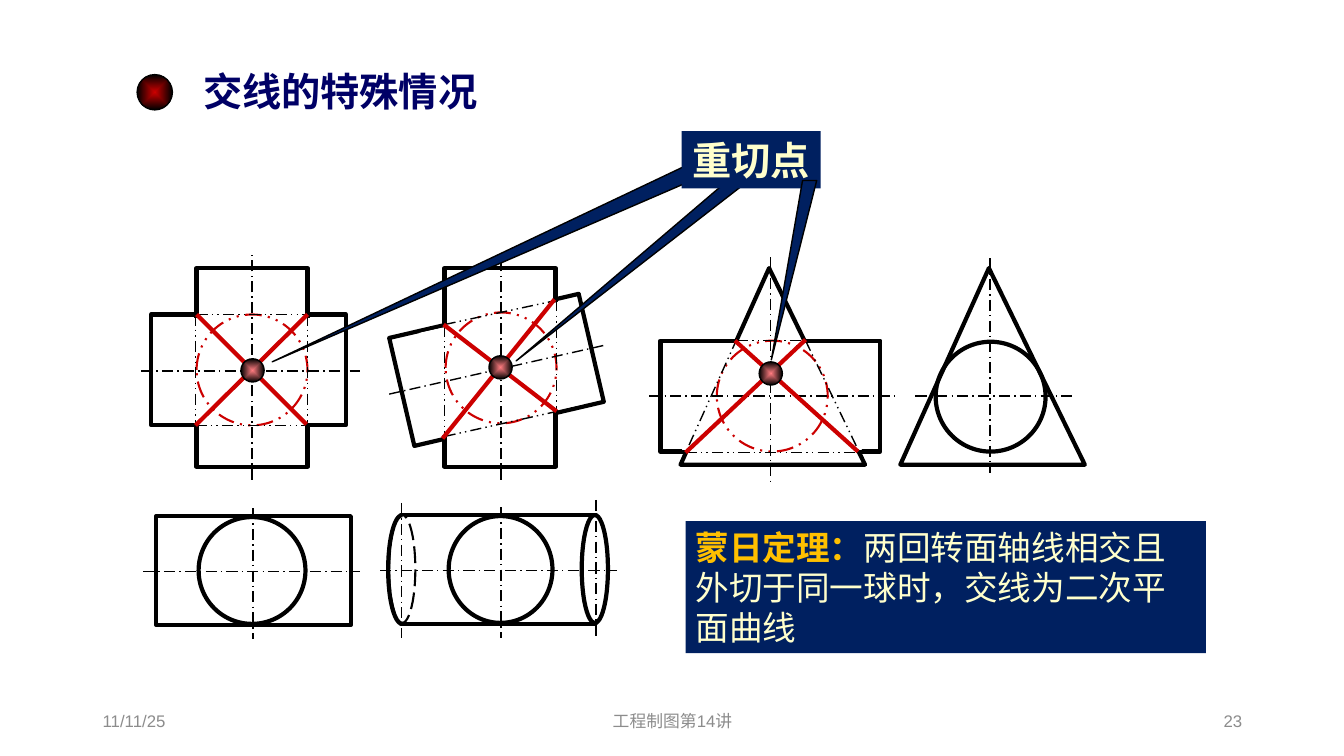
from math import cos, pi, sin

from lxml import etree
from pptx import Presentation
from pptx.dml.color import RGBColor
from pptx.enum.dml import MSO_LINE
from pptx.enum.shapes import MSO_CONNECTOR, MSO_SHAPE
from pptx.enum.text import MSO_ANCHOR, MSO_AUTO_SIZE, PP_ALIGN
from pptx.oxml.ns import qn
from pptx.util import Inches, Pt

BLACK = RGBColor(0x00, 0x00, 0x00)
WHITE = RGBColor(0xFF, 0xFF, 0xFF)
RED = RGBColor(0xCC, 0x00, 0x00)
PINK = RGBColor(0xFF, 0x7C, 0x80)
NAVY = RGBColor(0x00, 0x20, 0x60)
TITLE_BLUE = RGBColor(0x00, 0x00, 0x66)
CREAM = RGBColor(0xFF, 0xFF, 0xCC)
GOLD = RGBColor(0xFF, 0xC0, 0x00)
GREY = RGBColor(0x8C, 0x8C, 0x8C)
CJK_FONT = "Noto Sans CJK SC"
RECT, OVAL, TRIANGLE = MSO_SHAPE.RECTANGLE, MSO_SHAPE.OVAL, MSO_SHAPE.ISOSCELES_TRIANGLE
STRAIGHT = MSO_CONNECTOR.STRAIGHT
AXIS, PHANTOM, HIDDEN = MSO_LINE.LONG_DASH_DOT, MSO_LINE.DASH_DOT_DOT, MSO_LINE.LONG_DASH
LEFT, CENTER, RIGHT = PP_ALIGN.LEFT, PP_ALIGN.CENTER, PP_ALIGN.RIGHT
MIDDLE = MSO_ANCHOR.MIDDLE
NO_AUTOFIT = MSO_AUTO_SIZE.NONE

prs = Presentation()
prs.slide_width, prs.slide_height = Inches(13.33), Inches(7.5)
slide = prs.slides.add_slide(prs.slide_layouts[5])
shapes = slide.shapes


def paint(shape, fill, color, width, dash=None):
    shape.shadow.inherit = False
    if fill is None:
        shape.fill.background()
    else:
        shape.fill.solid()
        shape.fill.fore_color.rgb = fill
    if color is None:
        shape.line.fill.background()
    else:
        shape.line.color.rgb = color
        shape.line.width = Pt(width)
        shape.line.dash_style = dash


def add_outline(points, fill, width, close):
    start, *rest = [(Inches(x), Inches(y)) for x, y in points]
    builder = shapes.build_freeform(*start, scale=1.0)
    builder.add_line_segments(rest, close=close)
    paint(builder.convert_to_shape(), fill, BLACK, width)


title = shapes.title
title.left, title.top, title.width, title.height = map(Inches, (1.9, 0.62, 2.95, 0.57))
title.text_frame.text = "交线的特殊情况"

for left, width, text, align in [
    (0.92, 3, "11/11/25", LEFT),
    (4.42, 4.5, "工程制图第14讲", CENTER),
    (9.42, 3, "23", RIGHT),
]:
    footer = shapes.add_textbox(Inches(left), Inches(6.95), Inches(width), Inches(0.4))
    footer.text_frame.word_wrap = True
    footer.text_frame.vertical_anchor = MIDDLE
    footer.text_frame.text = text
    paragraph = footer.text_frame.paragraphs[0]
    paragraph.alignment = align
    paragraph.runs[0].font.name = "Arial"
    paragraph.runs[0].font.size = Pt(12)
    paragraph.runs[0].font.color.rgb = GREY

solids = [
    (RECT, (3.96, 3.12, 1.93, 1.1), -13.1, None, BLACK, 3, None),
    (RECT, (4.41, 2.66, 1.1, 1.97), 0, WHITE, BLACK, 3, None),
    (RECT, (4.26, 3.14, 1.43, 1.03), -12.6, WHITE, WHITE, 1, None),
    (OVAL, (4.45, 5.12, 1.03, 1.06), 0, None, BLACK, 3, None),
    (RECT, (3.98, 5.11, 1.93, 1.08), 0, None, BLACK, 3, None),
    (OVAL, (3.86, 5.11, 0.26, 1.07), 0, WHITE, BLACK, 1.5, HIDDEN),
    (OVAL, (5.77, 5.11, 0.26, 1.07), 0, WHITE, BLACK, 3, None),
    (RECT, (1.5, 3.12, 1.93, 1.1), 0, None, BLACK, 3, None),
    (RECT, (1.95, 2.66, 1.1, 1.97), 0, WHITE, BLACK, 3, None),
    (RECT, (1.88, 3.16, 1.28, 1.03), 0, WHITE, WHITE, 1, None),
    (OVAL, (1.97, 5.13, 1.06, 1.06), 0, None, BLACK, 3, None),
    (RECT, (1.55, 5.12, 1.93, 1.08), 0, None, BLACK, 3, None),
    (RECT, (6.55, 3.38, 2.18, 1.1), 0, WHITE, BLACK, 3, None),
    (TRIANGLE, (6.75, 2.66, 1.83, 1.95), 0, WHITE, BLACK, 3, None),
    (RECT, (6.77, 3.41, 1.77, 1.05), 0, WHITE, WHITE, 1, None),
    (TRIANGLE, (8.93, 2.66, 1.83, 1.95), 0, WHITE, BLACK, 3, None),
    (OVAL, (9.28, 3.39, 1.09, 1.09), 0, None, BLACK, 3, None),
]
for left, top in [(1.95, 3.12), (4.42, 3.1), (7.11, 3.38)]:
    solids.append((OVAL, (left, top, 1.1, 1.1), 0, None, RED, 1.5, PHANTOM))
for preset, box, rotation, fill, color, width, dash in solids:
    solid = shapes.add_shape(preset, *map(Inches, box))
    solid.rotation = rotation
    if preset == TRIANGLE:
        solid.adjustments[0] = 0.48
    paint(solid, fill, color, width, dash)

axes = [
    (4.97, 4.76, 4.97, 2.52), (3.86, 3.91, 6.02, 3.42), (4.97, 5.03, 4.97, 6.33),
    (3.98, 4.99, 3.98, 6.33), (5.91, 4.96, 5.91, 6.34), (3.77, 5.66, 6.12, 5.66),
    (2.5, 4.76, 2.5, 2.52), (1.4, 3.68, 3.57, 3.68), (1.42, 5.67, 3.57, 5.67),
    (2.51, 5.04, 2.51, 6.34), (6.44, 3.93, 8.91, 3.93), (7.64, 2.55, 7.64, 4.78),
    (9.08, 3.93, 10.63, 3.93), (9.82, 2.56, 9.82, 4.69),
]
phantom_edges = [
    (4.41, 3.22, 5.52, 2.98), (4.41, 4.33, 5.53, 4.08), (5.52, 2.98, 5.52, 4.07),
    (4.41, 3.23, 4.41, 4.31), (1.95, 3.12, 3.04, 3.12), (1.94, 4.22, 3.04, 4.22),
    (3.05, 3.12, 3.05, 4.21), (1.94, 3.12, 1.94, 4.2), (7.31, 3.36, 6.81, 4.47),
    (7.99, 3.38, 8.52, 4.48), (7.31, 3.38, 8.01, 3.38), (6.8, 4.49, 8.53, 4.49),
]
intersections = [
    (3.05, 3.12, 1.94, 4.22), (1.95, 3.12, 3.04, 4.21), (5.5, 2.97, 4.39, 4.35),
    (4.4, 3.22, 5.52, 4.08), (7.99, 3.37, 6.8, 4.49), (7.29, 3.38, 8.51, 4.48),
]
for segments, color, width, dash in [
    (axes, BLACK, 1, AXIS),
    (phantom_edges, BLACK, 1, PHANTOM),
    (intersections, RED, 3, None),
]:
    for segment in segments:
        stroke = shapes.add_connector(STRAIGHT, *map(Inches, segment))
        stroke.line.color.rgb = color
        stroke.line.width = Pt(width)
        stroke.line.dash_style = dash
        etree.SubElement(stroke._element.spPr, qn("a:effectLst"))

angles = [pi * step / 24 for step in range(25)]
near_rim = [(3.99 - 0.14 * sin(angle), 5.65 - 0.54 * cos(angle)) for angle in angles]
add_outline(near_rim, None, 3, False)

for left, top, size, core in [
    (1.36, 0.74, 0.35, RED),
    (2.39, 3.56, 0.23, PINK),
    (4.85, 3.53, 0.23, PINK),
    (7.53, 3.59, 0.23, PINK),
]:
    ball = shapes.add_shape(OVAL, *map(Inches, (left, top, size, size)))
    paint(ball, None, BLACK, 1)
    ball.fill.gradient()
    for stop, color in zip(ball.fill.gradient_stops, (core, BLACK)):
        stop.color.rgb = color
    gradient = ball._element.spPr.find(qn("a:gradFill"))
    gradient.remove(gradient.find(qn("a:lin")))
    radial = etree.SubElement(gradient, qn("a:path"), path="shape")
    etree.SubElement(radial, qn("a:fillToRect"), l="50000", t="50000", r="50000", b="50000")

add_outline([(6.77, 1.66), (2.7, 3.59), (6.98, 1.74)], NAVY, 1, True)
add_outline([(7.36, 1.67), (5.12, 3.58), (7.48, 1.75)], NAVY, 1, True)
tangent_label = shapes.add_shape(RECT, *map(Inches, (6.76, 1.3, 1.38, 0.57)))
tangent_label.text_frame.text = "重切点"
add_outline([(8.1, 1.79), (7.65, 3.57), (7.96, 1.79)], NAVY, 1, True)

theorem = shapes.add_shape(RECT, *map(Inches, (6.8, 5.17, 5.16, 1.31)))
theorem.text_frame.text = "蒙日定理："
statement = theorem.text_frame.paragraphs[0].add_run()
statement.text = "两回转面轴线相交且外切于同一球时，交线为二次平面曲线"

for panel in (tangent_label, theorem):
    paint(panel, NAVY, None, 0)

for holder, wrap, align, size, run_styles in [
    (title, False, CENTER, 28, [(TITLE_BLUE, True)]),
    (tangent_label, False, CENTER, 28, [(CREAM, True)]),
    (theorem, True, LEFT, 24, [(GOLD, True), (CREAM, False)]),
]:
    frame = holder.text_frame
    frame.auto_size = NO_AUTOFIT
    frame.word_wrap = wrap
    frame.vertical_anchor = MIDDLE
    paragraph = frame.paragraphs[0]
    paragraph.alignment = align
    for run, (color, bold) in zip(paragraph.runs, run_styles):
        run.font.size = Pt(size)
        run.font.bold = bold
        run.font.color.rgb = color
        run.font.name = CJK_FONT
        etree.SubElement(run.font._element, qn("a:ea"), typeface=CJK_FONT)

prs.save("out.pptx")
